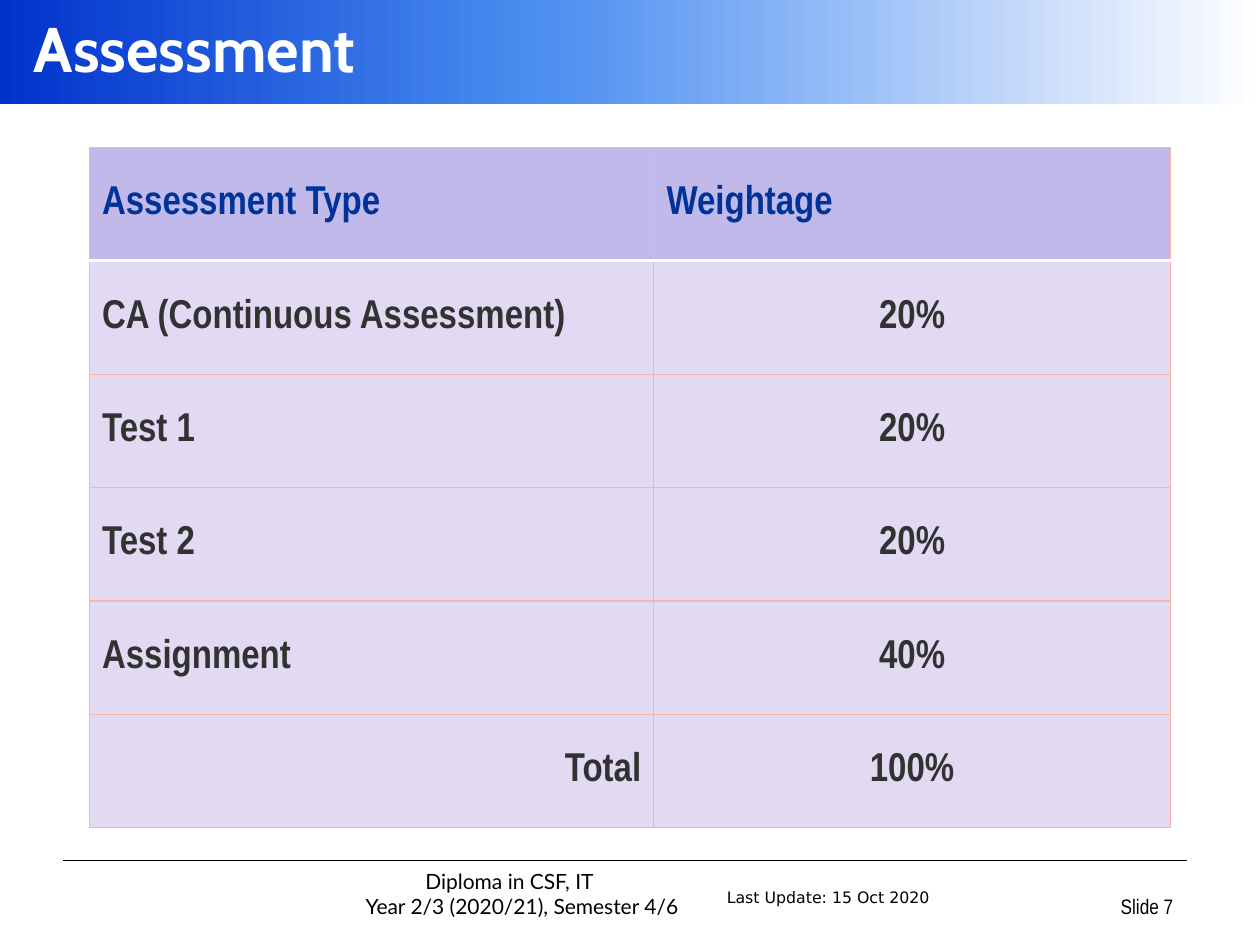
from copy import deepcopy

from lxml.etree import SubElement
from pptx import Presentation
from pptx.dml.color import RGBColor
from pptx.enum.shapes import MSO_CONNECTOR as Conn, MSO_SHAPE as Shape
from pptx.enum.text import MSO_ANCHOR as Anchor, PP_ALIGN as Align
from pptx.oxml.ns import qn
from pptx.util import Inches, Pt

NARROW = "Arial Narrow"
PINK = "FBB3A4"
ROWS = [
    ("Assessment Type", "Weightage"),
    ("CA (Continuous Assessment)", "20%"),
    ("Test 1", "20%"),
    ("Test 2", "20%"),
    ("Assignment", "40%"),
    ("Total", "100%"),
]


def color(code):
    return RGBColor.from_string(code)


def add_run(para, text, size, font, code="000000", bold=False):
    run = para.add_run()
    run.text = text
    run.font.size = Pt(size)
    run.font.name = font
    run.font.bold = bold
    run.font.color.rgb = color(code)


def add_text(slide, box, lines, size, font, code="000000", bold=False,
             align=Align.LEFT, anchor=Anchor.TOP, wrap=True, indents=(0, 0)):
    frame = slide.shapes.add_textbox(*map(Inches, box)).text_frame
    frame.word_wrap = wrap
    frame.vertical_anchor = anchor
    for i, (line, indent) in enumerate(zip(lines, indents)):
        para = frame.add_paragraph() if i else frame.paragraphs[0]
        para.alignment = align
        if indent:
            props = para._p.get_or_add_pPr()
            props.set("marL", str(Inches(indent)))
            props.set("indent", "0")
        add_run(para, line, size, font, code, bold)


def add_band(slide, box, stops):
    band = slide.shapes.add_shape(Shape.RECTANGLE, *map(Inches, box))
    band.shadow.inherit = False
    band.line.fill.background()
    band.fill.gradient()
    band.fill.gradient_angle = 0
    # The default gradient has two stops; add the third
    first = band.fill.gradient_stops[0]._gs
    first.addnext(deepcopy(first))
    for stop, (pos, code) in zip(band.fill.gradient_stops, stops):
        stop.position = pos
        stop.color.rgb = color(code)


def add_rule(slide, left, right, top):
    rule = slide.shapes.add_connector(
        Conn.STRAIGHT, Inches(left), Inches(top), Inches(right), Inches(top))
    rule.line.color.rgb = color("000000")
    rule.line.width = Pt(1)
    SubElement(rule._element.spPr, qn("a:effectLst"))


def set_edge(cell, side, code, width):
    edge = SubElement(cell._tc.get_or_add_tcPr(), qn("a:ln" + side),
                      w=str(Pt(width)))
    fill = SubElement(edge, qn("a:solidFill"))
    SubElement(fill, qn("a:srgbClr"), val=code)


def fill_cell(cell, text, row, col):
    head = row == 0
    for side in "LRTB":
        white = (side == "B" and head) or (side == "T" and row == 1)
        set_edge(cell, side, *(("FFFFFF", 2) if white else (PINK, 0.75)))
    cell.fill.solid()
    cell.fill.fore_color.rgb = color("C0B9E9" if head else "E2D9F3")
    cell.vertical_anchor = Anchor.MIDDLE
    para = cell.text_frame.paragraphs[0]
    if col and not head:
        para.alignment = Align.CENTER
    elif text == "Total":
        para.alignment = Align.RIGHT
    add_run(para, text, 23, NARROW, "003399" if head else "323232", True)


def add_grid(slide, left, top, widths, height):
    table = slide.shapes.add_table(
        len(ROWS), len(widths), Inches(left), Inches(top),
        Inches(sum(widths)), Inches(height * len(ROWS))).table
    for col, width in zip(table.columns, widths):
        col.width = Inches(width)
    for r, texts in enumerate(ROWS):
        table.rows[r].height = Inches(height)
        for c, text in enumerate(texts):
            fill_cell(table.cell(r, c), text, r, c)


def main():
    deck = Presentation()
    deck.slide_width, deck.slide_height = Inches(10), Inches(7.5)
    slide = deck.slides.add_slide(deck.slide_layouts[6])

    # Title band
    add_band(slide, (0, 0, 10, 0.83),
             [(0, "0033CC"), (0.43, "4C8EF1"), (1, "FFFFFF")])
    add_text(slide, (0.17, 0, 9.83, 0.75), ["Assessment"], 36, "Cabin",
             "FFFFFF", bold=True, anchor=Anchor.MIDDLE)

    # Weightage table
    add_grid(slide, 0.71, 1.17, (4.48, 4.1), 0.9)

    # Footer
    add_rule(slide, 0.5, 9.42, 6.83)
    add_text(slide, (1.68, 6.92, 4.23, 0.42),
             ["Diploma in CSF, IT", "Year 2/3 (2020/21), Semester 4/6"],
             12, "Lato", align=Align.CENTER, anchor=Anchor.BOTTOM,
             indents=(0.5, 0.7))
    add_text(slide, (5.67, 7, 1.85, 0.25), ["Last Update: 15 Oct 2020"],
             9, "DejaVu Sans", wrap=False)
    add_text(slide, (7.33, 6.92, 2.08, 0.42), ["Slide 7"], 12, NARROW,
             align=Align.RIGHT, anchor=Anchor.BOTTOM)

    deck.save("out.pptx")


if __name__ == "__main__":
    main()
